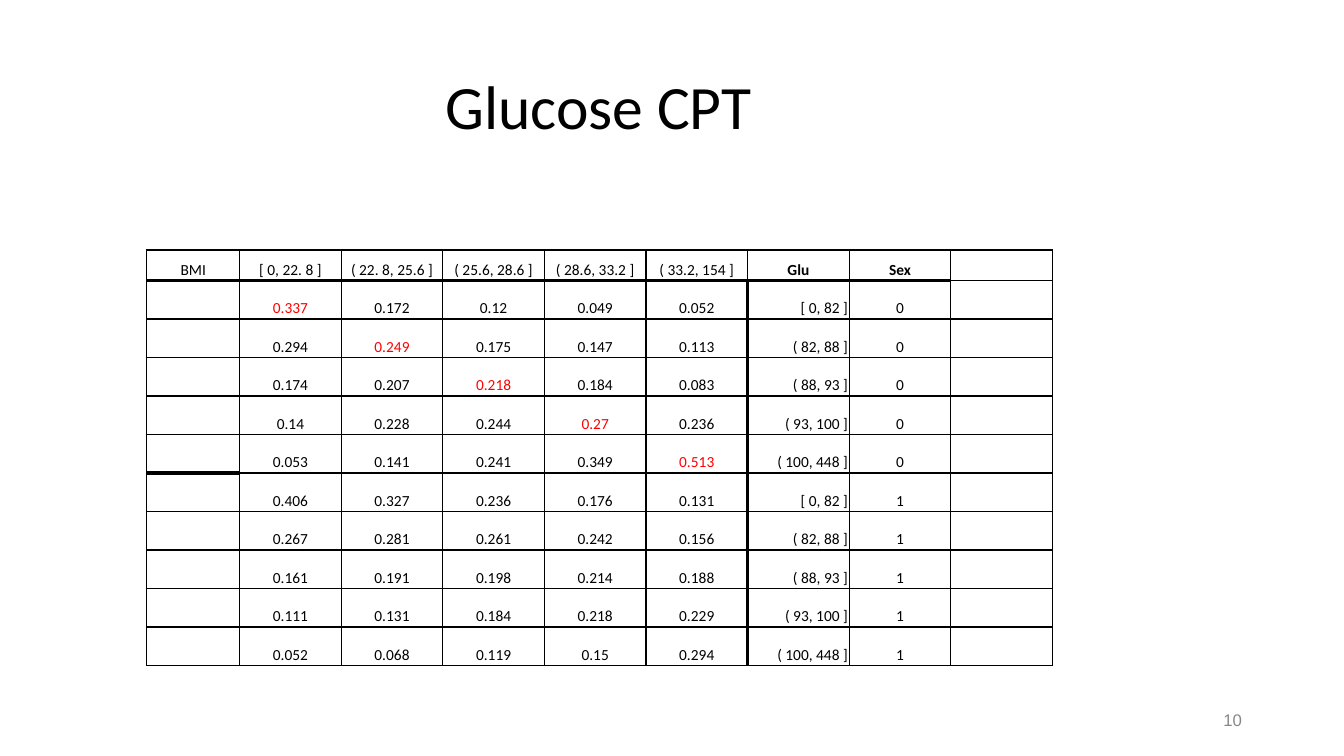
from dataclasses import dataclass

from lxml.etree import SubElement
from pptx import Presentation as Deck
from pptx.dml.color import RGBColor as Color
from pptx.enum.text import MSO_ANCHOR as Anchor, PP_ALIGN as Align
from pptx.oxml.ns import qn
from pptx.util import Cm, Pt

BLACK = Color(0, 0, 0)
RED = Color(0xFF, 0, 0)
GRAY = Color(0x88, 0x88, 0x88)

HEAD = ["BMI", "[ 0, 22. 8 ]", "( 22. 8, 25.6 ]", "( 25.6, 28.6 ]",
        "( 28.6, 33.2 ]", "( 33.2, 154 ]", "Glu", "Sex", ""]
BANDS = ["[ 0, 82 ]", "( 82, 88 ]", "( 88, 93 ]", "( 93, 100 ]", "( 100, 448 ]"]
ODDS = [  # five glucose bands for sex 0, then five for sex 1
    "0.337 0.172 0.12 0.049 0.052",
    "0.294 0.249 0.175 0.147 0.113",
    "0.174 0.207 0.218 0.184 0.083",
    "0.14 0.228 0.244 0.27 0.236",
    "0.053 0.141 0.241 0.349 0.513",
    "0.406 0.327 0.236 0.176 0.131",
    "0.267 0.281 0.261 0.242 0.156",
    "0.161 0.191 0.198 0.214 0.188",
    "0.111 0.131 0.184 0.218 0.229",
    "0.052 0.068 0.119 0.15 0.294",
]
GLU = HEAD.index("Glu")
LAST = len(HEAD) - 1
SIZE = 11
THIN, THICK, HEAVY = 1, 2.25, 3


@dataclass
class Label:
    text: str
    left: float
    top: float
    width: float
    height: float
    size: int
    font: str
    color: Color
    align: Align
    gap: float = 1.0


def style(part, form: dict) -> None:
    for name, value in form.items():
        setattr(part, name, value)


def write(para, text: str, font: str, size: int, color: Color,
          bold: bool = False) -> None:
    run = para.add_run()
    run.text = text
    style(run.font, {"name": font, "size": Pt(size), "bold": bold})
    run.font.color.rgb = color


def place(slide, label: Label) -> None:
    box = slide.shapes.add_textbox(Cm(label.left), Cm(label.top),
                                   Cm(label.width), Cm(label.height))
    frame = box.text_frame
    style(frame, {"word_wrap": True, "vertical_anchor": Anchor.MIDDLE})
    para = frame.paragraphs[0]
    style(para, {"alignment": label.align, "line_spacing": label.gap})
    write(para, label.text, label.font, label.size, label.color)


def rule(row: int, col: int) -> float:
    """Weight of the line below a cell; row -1 is the top edge."""
    if col < LAST and row == 0:
        return THICK
    if col < LAST and row == len(BANDS):
        return THICK if col else HEAVY
    return THIN


def post(row: int, col: int) -> float:
    """Weight of the line to the right of a cell."""
    return THICK if row and col == GLU - 1 else THIN


def frame_cell(cell, row: int, col: int) -> None:
    props = cell._tc.get_or_add_tcPr()
    sides = {"lnL": post(row, col - 1), "lnR": post(row, col),
             "lnT": rule(row - 1, col), "lnB": rule(row, col)}
    for spot, (tag, weight) in enumerate(sides.items()):
        line = SubElement(props, qn(f"a:{tag}"), w=str(Pt(weight)))
        fill = SubElement(line, qn("a:solidFill"))
        SubElement(fill, qn("a:srgbClr"), val=str(BLACK))
        props.insert(spot, line)


def fill_cell(cell, text: str, row: int, col: int) -> None:
    edge = Cm(0.03)
    style(cell, {"margin_left": edge, "margin_right": edge,
                 "margin_top": edge, "margin_bottom": edge,
                 "vertical_anchor": Anchor.BOTTOM})
    cell.fill.background()
    frame_cell(cell, row, col)
    para = cell.text_frame.paragraphs[0]
    if not text:
        para._p.get_or_add_endParaRPr().set("sz", str(SIZE * 100))
        return
    para.alignment = Align.RIGHT if row and col == GLU else Align.CENTER
    hot = row == col and 0 < row <= len(BANDS)
    write(para, text, "Calibri", SIZE, RED if hot else BLACK,
          bold=row == 0 and col >= GLU)


def draw_table(slide, rows: list[list[str]]) -> None:
    wide = [2.34] + [2.56] * LAST
    tall = [0.77] + [0.97] * len(ODDS)
    table = slide.shapes.add_table(len(rows), len(HEAD), Cm(3.7), Cm(6.3),
                                   Cm(sum(wide)), Cm(sum(tall))).table
    style(table, {"first_row": False, "horz_banding": False})
    for col, width in zip(table.columns, wide):
        col.width = Cm(width)
    for row, height in zip(table.rows, tall):
        row.height = Cm(height)
    for r, row in enumerate(rows):
        for c, text in enumerate(row):
            fill_cell(table.cell(r, c), text, r, c)


deck = Deck()
style(deck, {"slide_width": Cm(33.87), "slide_height": Cm(19.05)})
slide = deck.slides.add_slide(deck.slide_layouts[6])

# Title and page number
place(slide, Label("Glucose CPT", 0.48, 0.91, 29.21, 3.68, 44, "Calibri",
                   BLACK, Align.CENTER, 0.9))
place(slide, Label("10", 23.93, 17.78, 7.62, 0.74, 12, "Arial",
                   GRAY, Align.RIGHT))

# Probability table
body = []
for i, odds in enumerate(ODDS):
    sex, band = divmod(i, len(BANDS))
    body.append(["", *odds.split(), BANDS[band], str(sex), ""])
draw_table(slide, [HEAD, *body])

deck.save("out.pptx")
